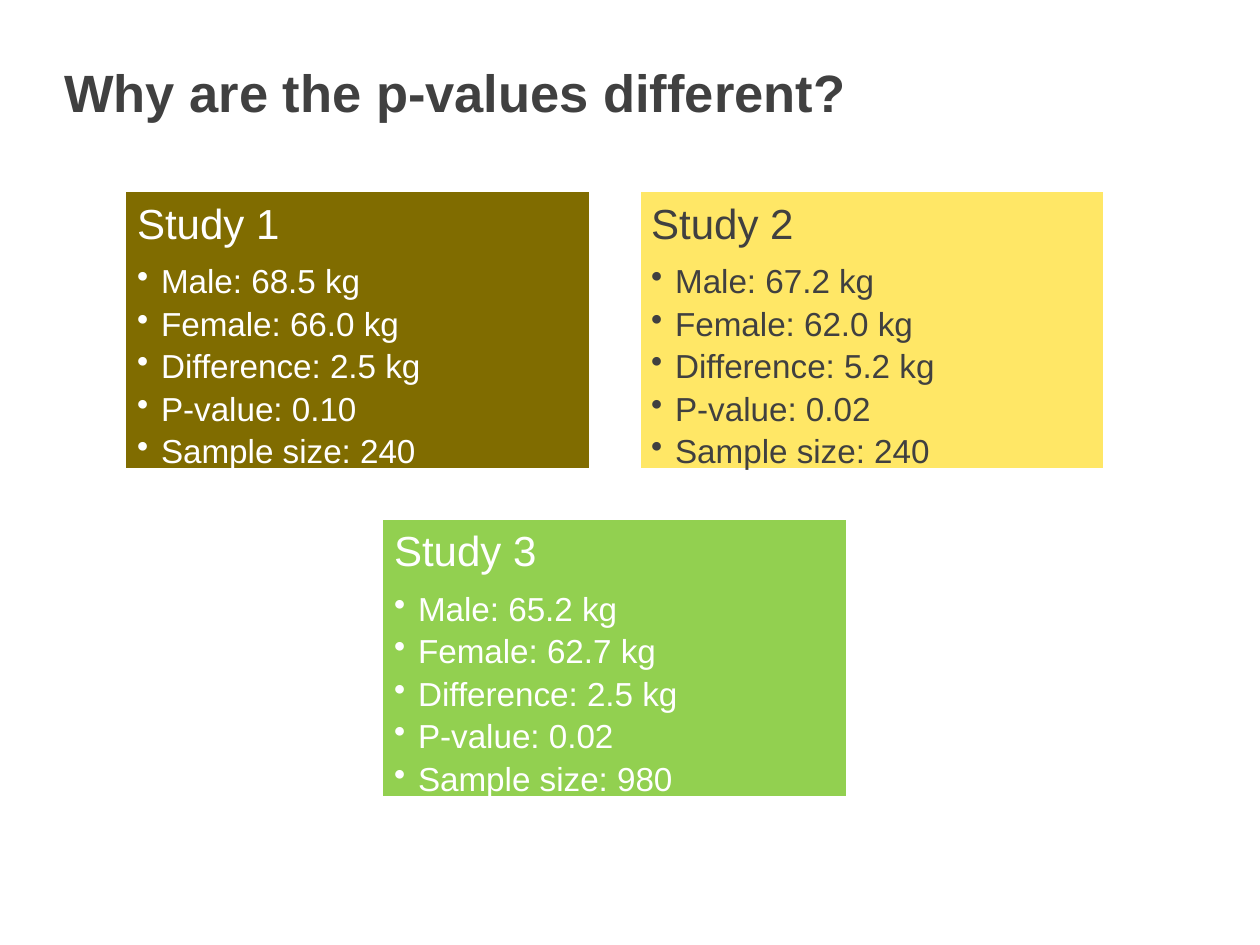
from lxml import etree
from pptx import Presentation
from pptx.dml.color import RGBColor
from pptx.enum.text import MSO_ANCHOR, PP_ALIGN
from pptx.oxml.ns import qn
from pptx.util import Inches, Pt

FONT = "Arial"
COLORS = {
    "dark": "404040",
    "white": "FFFFFF",
    "olive": "806C00",
    "yellow": "FFE766",
    "green": "92D050",
}

TITLE = "Why are the p-values different?"
MEASURES = ("Male", "Female", "Difference", "P-value", "Sample size")
# heading, fill, text colour, one value per measure
STUDIES = [
    ("Study 1", "olive", "white", ("68.5 kg", "66.0 kg", "2.5 kg", "0.10", "240")),
    ("Study 2", "yellow", "dark", ("67.2 kg", "62.0 kg", "5.2 kg", "0.02", "240")),
    ("Study 3", "green", "white", ("65.2 kg", "62.7 kg", "2.5 kg", "0.02", "980")),
]

COLUMNS = 2
GRID_LEFT, GRID_TOP = 0.99, 1.51
CARD_WIDTH, CARD_HEIGHT = 3.7, 2.22
GAP = 0.38
BULLET_INDENT = 0.19


def rgb(name):
    return RGBColor.from_string(COLORS[name])


def format_text(paragraph, size, color, bold=False):
    for run in paragraph.runs:
        run.font.name = FONT
        run.font.size = Pt(size)
        run.font.bold = bold
        run.font.color.rgb = rgb(color)


def add_bullet(paragraph):
    properties = paragraph._p.get_or_add_pPr()
    properties.set("marL", str(Inches(BULLET_INDENT)))
    properties.set("indent", str(-Inches(BULLET_INDENT)))
    etree.SubElement(properties, qn("a:buChar")).set("char", "•")


def card_position(index):
    """Place cards in rows, with an incomplete last row centred."""
    row, column = divmod(index, COLUMNS)
    cards_in_row = min(COLUMNS, len(STUDIES) - row * COLUMNS)
    row_offset = (COLUMNS - cards_in_row) * (CARD_WIDTH + GAP) / 2
    left = GRID_LEFT + row_offset + column * (CARD_WIDTH + GAP)
    top = GRID_TOP + row * (CARD_HEIGHT + GAP)
    return left, top


def add_study(slide, index, heading, fill, color, values):
    left, top = card_position(index)
    card = slide.shapes.add_shape(
        1, Inches(left), Inches(top), Inches(CARD_WIDTH), Inches(CARD_HEIGHT)
    )
    card.shadow.inherit = False
    card.fill.solid()
    card.fill.fore_color.rgb = rgb(fill)
    card.line.color.rgb = rgb("white")
    card.line.width = Pt(2)

    frame = card.text_frame
    frame.word_wrap = True
    frame.vertical_anchor = MSO_ANCHOR.TOP
    frame.margin_left = frame.margin_right = Inches(0.1)
    frame.margin_top = frame.margin_bottom = Inches(0.1)
    bullets = [f"{measure}: {value}" for measure, value in zip(MEASURES, values)]
    frame.text = "\n".join([heading] + bullets)

    for number, paragraph in enumerate(frame.paragraphs):
        is_bullet = number > 0
        paragraph.alignment = PP_ALIGN.LEFT
        paragraph.line_spacing = 0.9
        paragraph.space_after = Pt(3.8 if is_bullet else 9.5)
        format_text(paragraph, 19 if is_bullet else 24, color)
        if is_bullet:
            paragraph.level = 1
            add_bullet(paragraph)


def add_title(slide):
    title = slide.shapes.title
    title.left, title.top = Inches(0.51), Inches(0.47)
    title.width, title.height = Inches(8.98), Inches(0.51)
    frame = title.text_frame
    frame.text = TITLE
    frame.word_wrap = True
    frame.vertical_anchor = MSO_ANCHOR.BOTTOM
    frame.margin_left = frame.margin_right = 0
    frame.margin_top = frame.margin_bottom = 0
    frame.paragraphs[0].alignment = PP_ALIGN.LEFT
    format_text(frame.paragraphs[0], 30, "dark", bold=True)


def main():
    presentation = Presentation()
    presentation.slide_width = Inches(10)
    presentation.slide_height = Inches(7.5)
    slide = presentation.slides.add_slide(presentation.slide_layouts[5])
    add_title(slide)
    for index, study in enumerate(STUDIES):
        add_study(slide, index, *study)
    presentation.save("out.pptx")


if __name__ == "__main__":
    main()
